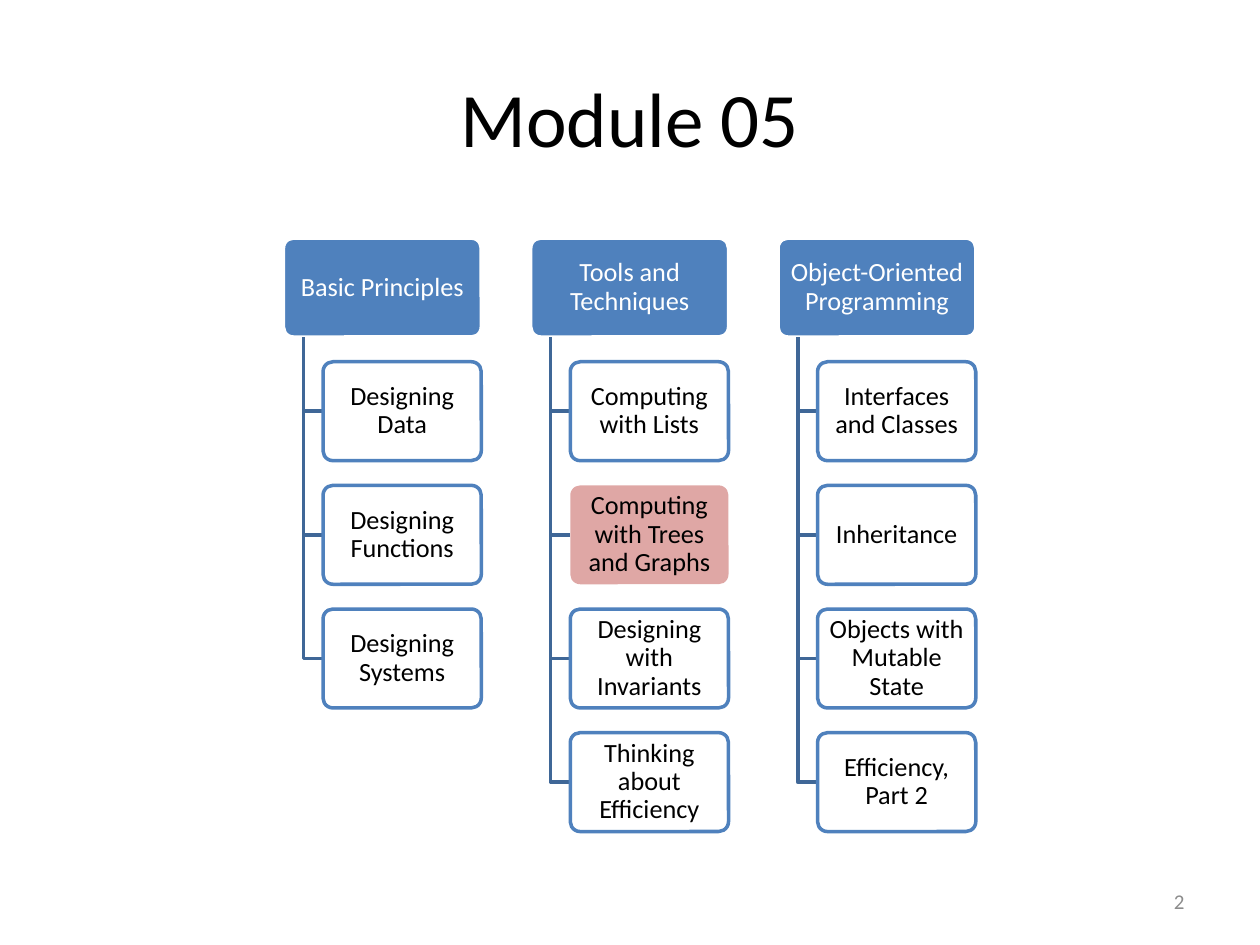
from lxml import etree
from pptx import Presentation
from pptx.dml.color import RGBColor
from pptx.enum.shapes import MSO_SHAPE as Shape
from pptx.enum.text import MSO_ANCHOR as Anchor, PP_ALIGN as Align
from pptx.oxml.ns import qn
from pptx.util import Inches, Pt

COLORS = {
    "blue": "4F81BD", "connector": "3F6797", "red": "C0504D",
    "white": "FFFFFF", "black": "000000", "gray": "8C8C8C",
}
MODULES = {
    "Basic Principles": ["Designing Data", "Designing Functions", "Designing Systems"],
    "Tools and Techniques": ["Computing with Lists", "Computing with Trees and Graphs",
                             "Designing with Invariants", "Thinking about Efficiency"],
    "Object-Oriented Programming": ["Interfaces and Classes", "Inheritance",
                                    "Objects with Mutable State", "Efficiency, Part 2"],
}
CURRENT_TOPIC = "Computing with Trees and Graphs"

LEFT, TOP = 2.25, 1.89
HEADER_WIDTH = 1.57
BOX_HEIGHT = HEADER_WIDTH / 2
COLUMN_STEP = HEADER_WIDTH * 1.25
ROW_STEP = BOX_HEIGHT * 1.25
INDENT = HEADER_WIDTH / 10
TOPIC_WIDTH = HEADER_WIDTH * 0.8


def write_text(shape, text, size, color, align=Align.CENTER):
    frame = shape.text_frame
    frame.word_wrap = True
    frame.vertical_anchor = Anchor.MIDDLE
    paragraph = frame.paragraphs[0]
    paragraph.text = text
    paragraph.alignment = align
    for name, value in {"name": "Calibri", "size": Pt(size)}.items():
        setattr(paragraph.font, name, value)
    paragraph.font.color.rgb = RGBColor.from_string(COLORS[color])
    return frame


def add_box(shapes, left, top, width, text, fill, line, text_color, opacity=100):
    box = shapes.add_shape(Shape.ROUNDED_RECTANGLE, Inches(left), Inches(top),
                           Inches(width), Inches(BOX_HEIGHT))
    box.adjustments[0] = 0.1
    box.shadow.inherit = False
    box.fill.solid()
    box.fill.fore_color.rgb = RGBColor.from_string(COLORS[fill])
    if opacity < 100:
        color = box.fill._xPr.find(qn("a:solidFill"))[0]
        etree.SubElement(color, qn("a:alpha"), val=str(opacity * 1000))
    if line:
        box.line.color.rgb = RGBColor.from_string(COLORS[line])
        box.line.width = Pt(2)
    else:
        box.line.fill.background()
    frame = write_text(box, text, 15, text_color)
    frame.paragraphs[0].line_spacing = 0.9
    for side, margin in {"left": 0.03, "right": 0.03, "top": 0.02, "bottom": 0.02}.items():
        setattr(frame, f"margin_{side}", Inches(margin))


presentation = Presentation()
presentation.slide_width = Inches(10)
presentation.slide_height = Inches(7.5)
slide = presentation.slides.add_slide(presentation.slide_layouts[6])

title = slide.shapes.add_textbox(Inches(0.5), Inches(0.3), Inches(9), Inches(1.25))
write_text(title, "Module 05", 44, "black")
number = slide.shapes.add_textbox(Inches(7.17), Inches(6.95), Inches(2.33), Inches(0.4))
write_text(number, "2", 12, "gray", Align.RIGHT)

diagram = slide.shapes.add_group_shape().shapes
for column, (module, topics) in enumerate(MODULES.items()):
    left = LEFT + column * COLUMN_STEP
    add_box(diagram, left, TOP, HEADER_WIDTH, module, "blue", "white", "white")
    trunk = left + INDENT
    topic_left = trunk + INDENT
    for row, topic in enumerate(topics, start=1):
        top = TOP + row * ROW_STEP
        middle = top + BOX_HEIGHT / 2
        builder = diagram.build_freeform(Inches(trunk), Inches(TOP + BOX_HEIGHT))
        builder.add_line_segments([(Inches(trunk), Inches(middle)),
                                   (Inches(topic_left), Inches(middle))], close=False)
        elbow = builder.convert_to_shape()
        elbow.shadow.inherit = False
        elbow.fill.background()
        elbow.line.color.rgb = RGBColor.from_string(COLORS["connector"])
        elbow.line.width = Pt(2)
        if topic == CURRENT_TOPIC:
            fill, line, opacity = "red", None, 50
        else:
            fill, line, opacity = "white", "blue", 90
        add_box(diagram, topic_left, top, TOPIC_WIDTH, topic, fill, line, "black", opacity)

presentation.save("out.pptx")
